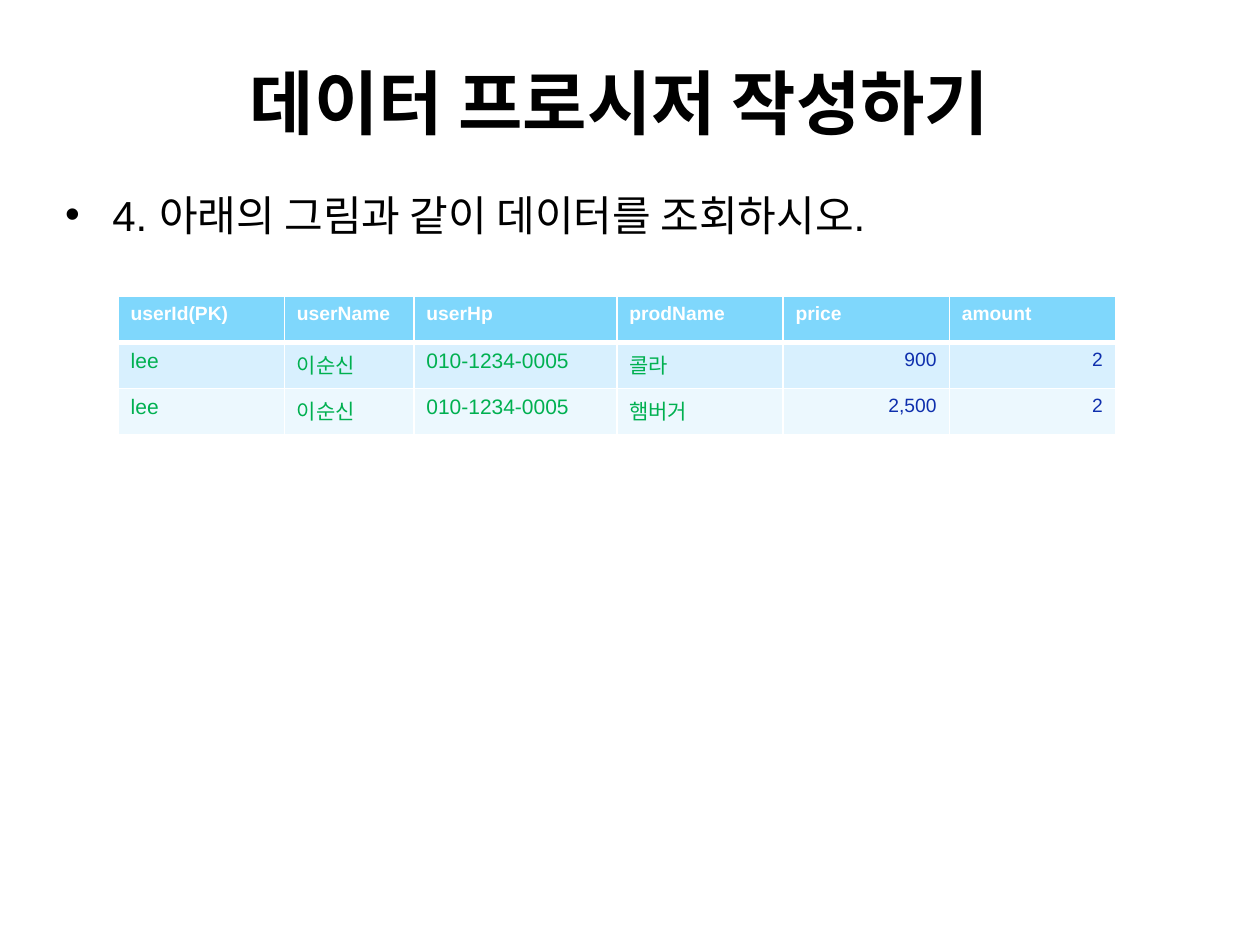
from lxml import etree
from pptx import Presentation
from pptx.dml.color import RGBColor
from pptx.enum.text import MSO_ANCHOR, MSO_AUTO_SIZE, PP_ALIGN
from pptx.oxml.ns import qn
from pptx.util import Pt

LEFT, CENTER, RIGHT = PP_ALIGN.LEFT, PP_ALIGN.CENTER, PP_ALIGN.RIGHT
TOP, MIDDLE = MSO_ANCHOR.TOP, MSO_ANCHOR.MIDDLE
NO_FIT = MSO_AUTO_SIZE.NONE

BLACK = RGBColor(0x00, 0x00, 0x00)
WHITE = RGBColor(0xFF, 0xFF, 0xFF)
HEADER_BLUE = RGBColor(0x7F, 0xD7, 0xFC)
BANDS = (RGBColor(0xD8, 0xF0, 0xFE), RGBColor(0xEC, 0xF8, 0xFE))
GREEN = RGBColor(0x00, 0xB0, 0x50)
NAVY = RGBColor(0x0E, 0x2F, 0xAD)

TITLE_FORMAT = {"size": Pt(40), "bold": True, "color": BLACK}
BODY_FORMAT = {"size": Pt(24), "bold": False, "color": BLACK}
HEADER_FORMAT = {"size": Pt(11), "bold": True, "color": WHITE}
TEXT_FORMAT = {"size": Pt(12), "bold": False, "color": GREEN}
NUMBER_FORMAT = {"size": Pt(11), "bold": False, "color": NAVY}

COLUMN_WIDTHS = (95, 74, 116, 95, 95, 95)
FIRST_NUMBER_COLUMN = 4
ROWS = (
    ("userId(PK)", "userName", "userHp", "prodName", "price", "amount"),
    ("lee", "이순신", "010-1234-0005", "콜라", "900", "2"),
    ("lee", "이순신", "010-1234-0005", "햄버거", "2,500", "2"),
)


def write_text(text_frame, text, values, alignment):
    """Write one formatted paragraph."""
    paragraph = text_frame.paragraphs[0]
    paragraph.alignment = alignment
    run = paragraph.add_run()
    run.text = text
    run.font.name = "Arial"
    for name, value in values.items():
        if name == "color":
            run.font.color.rgb = value
        else:
            setattr(run.font, name, value)
    return paragraph


def fill_placeholder(placeholder, box, text, values, alignment, anchor):
    """Move a placeholder to its box and write its text."""
    for name, value in zip(("left", "top", "width", "height"), box):
        setattr(placeholder, name, Pt(value))
    text_frame = placeholder.text_frame
    text_frame.auto_size = NO_FIT
    text_frame.vertical_anchor = anchor
    return write_text(text_frame, text, values, alignment)


def add_title(slide, box):
    """Place the slide title."""
    fill_placeholder(slide.shapes.title, box, "데이터 프로시저 작성하기", TITLE_FORMAT, CENTER, MIDDLE)


def add_task(slide, box):
    """Place the bulleted task."""
    paragraph = fill_placeholder(
        slide.placeholders[1], box, "4. 아래의 그림과 같이 데이터를 조회하시오.", BODY_FORMAT, LEFT, TOP
    )
    properties = paragraph._p.get_or_add_pPr()
    properties.set("marL", str(Pt(27)))
    properties.set("indent", str(Pt(-27)))


def set_borders(cell, widths):
    """Give a cell white borders of the given widths."""
    properties = cell._tc.get_or_add_tcPr()
    for side, width in widths.items():
        line = etree.SubElement(properties, qn("a:ln" + side), w=str(Pt(width)))
        fill = etree.SubElement(line, qn("a:solidFill"))
        etree.SubElement(fill, qn("a:srgbClr"), val=str(WHITE))


def add_result_table(slide, box):
    """Place the query result table."""
    left, top, width, height = map(Pt, box)
    table = slide.shapes.add_table(len(ROWS), len(COLUMN_WIDTHS), left, top, width, height).table
    for column, column_width in zip(table.columns, COLUMN_WIDTHS):
        column.width = Pt(column_width)
    for row_index, row in enumerate(ROWS):
        is_header = row_index == 0
        background = HEADER_BLUE if is_header else BANDS[(row_index - 1) % 2]
        borders = {"L": 1, "R": 1, "T": 3 if row_index == 1 else 1, "B": 3 if is_header else 1}
        for column_index, text in enumerate(row):
            cell = table.cell(row_index, column_index)
            set_borders(cell, borders)
            cell.fill.solid()
            cell.fill.fore_color.rgb = background
            is_number = not is_header and column_index >= FIRST_NUMBER_COLUMN
            values = HEADER_FORMAT if is_header else NUMBER_FORMAT if is_number else TEXT_FORMAT
            write_text(cell.text_frame, text, values, RIGHT if is_number else LEFT)


def build_presentation():
    """Build and save the slide."""
    presentation = Presentation()
    presentation.slide_width, presentation.slide_height = Pt(720), Pt(540)
    slide = presentation.slides.add_slide(presentation.slide_layouts[1])
    add_title(slide, (30, 13, 648, 90))
    add_task(slide, (30, 104.5, 658, 326))
    add_result_table(slide, (67.5, 169.5, sum(COLUMN_WIDTHS), 79))
    presentation.save("out.pptx")


build_presentation()
